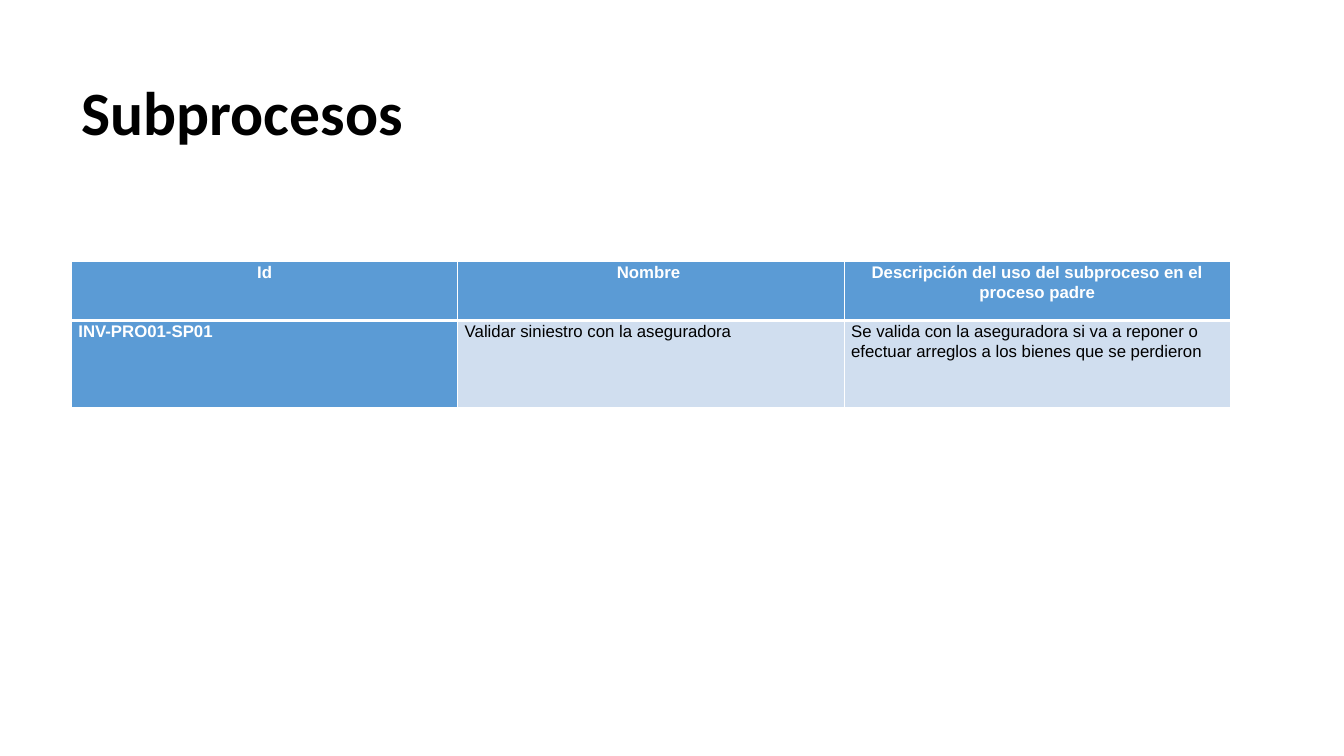
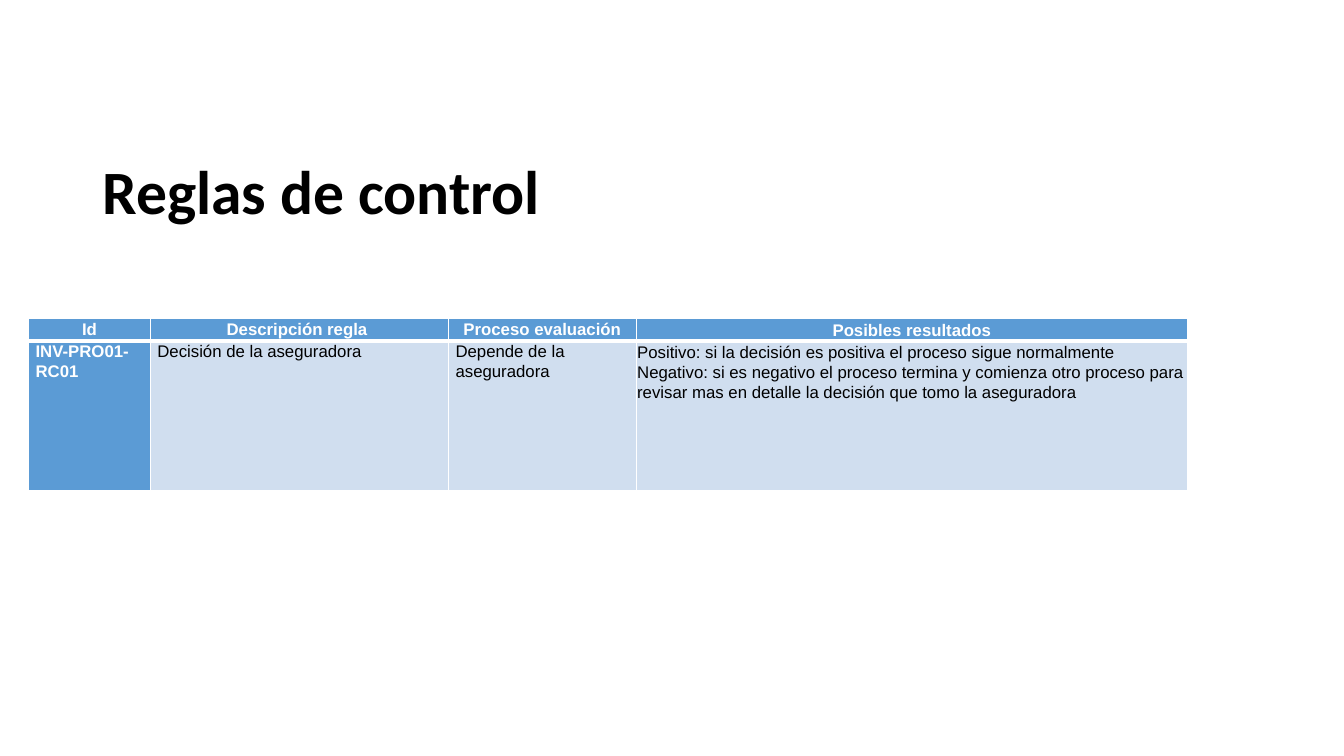
from dataclasses import dataclass

from lxml import etree
from pptx import Presentation
from pptx.dml.color import RGBColor
from pptx.enum.text import MSO_ANCHOR, MSO_AUTO_SIZE, PP_ALIGN
from pptx.oxml.ns import qn
from pptx.slide import Slide
from pptx.table import _Cell
from pptx.text.text import Font
from pptx.util import Pt

LEFT, CENTER = PP_ALIGN.LEFT, PP_ALIGN.CENTER
MIDDLE, TOP = MSO_ANCHOR.MIDDLE, MSO_ANCHOR.TOP
NO_AUTOFIT = MSO_AUTO_SIZE.NONE

BLACK, WHITE = "000000", "FFFFFF"
ACCENT, PALE = "5B9BD5", "D0DEEF"
TITLE_FONT, TABLE_FONT = "Calibri", "Arial"
TITLE_LAYOUT = 5
CONTENT_WIDTH, TITLE_HEIGHT = 828, 104.4
THIN, THICK = 1, 3
SIDE_INSETS = (5, 0)
TIGHT_INSETS = (0.75, 0.75)


@dataclass(frozen=True)
class Column:
    width: float
    heading: str
    content: str
    insets: tuple[float, float] = SIDE_INSETS


@dataclass(frozen=True)
class TablePage:
    title: str
    title_left: float
    title_top: float
    table_left: float
    table_top: float
    row_heights: tuple[float, float]
    columns: tuple[Column, ...]


PAGES = (
    TablePage(
        "Subprocesos", 51, 30, 51, 187, (42, 62.5),
        (
            Column(276, "Id", "INV-PRO01-SP01"),
            Column(276, "Nombre ", "Validar siniestro con la aseguradora"),
            Column(
                276,
                "Descripción del uso del subproceso en el proceso padre",
                "Se valida con la aseguradora si va a reponer o efectuar "
                "arreglos a los bienes que se perdieron",
            ),
        ),
    ),
    TablePage(
        "Reglas de control", 66, 87, 20.4, 227.5, (15.6, 107.2),
        (
            Column(87, "Id", "INV-PRO01-RC01"),
            Column(213, "Descripción regla ", "Decisión de la aseguradora"),
            Column(134, "Proceso evaluación", "Depende de la aseguradora"),
            Column(
                394,
                "Posibles resultados",
                "Positivo: si la decisión es positiva el proceso sigue normalmente\n"
                "Negativo: si es negativo el proceso termina y comienza otro proceso "
                "para revisar mas en detalle la decisión que tomo la aseguradora",
                TIGHT_INSETS,
            ),
        ),
    ),
)


def color(value: str) -> RGBColor:
    return RGBColor.from_string(value)


def style_font(font: Font, name: str, size: float, ink: str, bold: bool) -> None:
    font.name = name
    font.size = Pt(size)
    font.bold = bold
    font.color.rgb = color(ink)


def add_title(page: Slide, design: TablePage) -> None:
    title = page.shapes.title
    title.left, title.top = Pt(design.title_left), Pt(design.title_top)
    title.width, title.height = Pt(CONTENT_WIDTH), Pt(TITLE_HEIGHT)
    frame = title.text_frame
    frame.text = design.title
    frame.auto_size = NO_AUTOFIT
    frame.vertical_anchor = MIDDLE
    para = frame.paragraphs[0]
    para.alignment = LEFT
    para.line_spacing = 0.9
    style_font(para.font, TITLE_FONT, 44, BLACK, True)


def add_borders(cell: _Cell, is_heading: bool) -> None:
    properties = cell._tc.get_or_add_tcPr()
    widths = {
        "a:lnL": THIN,
        "a:lnR": THIN,
        "a:lnT": THIN if is_heading else THICK,
        "a:lnB": THICK if is_heading else THIN,
    }
    for tag, width in widths.items():
        line = etree.SubElement(properties, qn(tag), w=str(Pt(width)))
        fill = etree.SubElement(line, qn("a:solidFill"))
        etree.SubElement(fill, qn("a:srgbClr"), val=WHITE)


def fill_cell(
    cell: _Cell, text: str, insets: tuple[float, float], is_heading: bool, is_key: bool
) -> None:
    emphasized = is_heading or is_key
    add_borders(cell, is_heading)
    cell.fill.solid()
    cell.fill.fore_color.rgb = color(ACCENT if emphasized else PALE)
    side, end = insets
    cell.margin_left = cell.margin_right = Pt(side)
    cell.margin_top = cell.margin_bottom = Pt(end)
    cell.vertical_anchor = TOP
    cell.text_frame.text = text
    for para in cell.text_frame.paragraphs:
        para.alignment = CENTER if is_heading else LEFT
        para.line_spacing = 1.07
        style_font(para.font, TABLE_FONT, 12, WHITE if emphasized else BLACK, emphasized)


def add_data_table(page: Slide, design: TablePage) -> None:
    table = page.shapes.add_table(
        len(design.row_heights), len(design.columns),
        Pt(design.table_left), Pt(design.table_top),
        Pt(CONTENT_WIDTH), Pt(sum(design.row_heights)),
    ).table
    for row, height in zip(table.rows, design.row_heights):
        row.height = Pt(height)
    for index, column in enumerate(design.columns):
        table.columns[index].width = Pt(column.width)
        for row_index, text in enumerate((column.heading, column.content)):
            fill_cell(
                table.cell(row_index, index), text, column.insets,
                is_heading=row_index == 0, is_key=index == 0,
            )


def main() -> None:
    deck = Presentation()
    deck.slide_width, deck.slide_height = Pt(960), Pt(540)
    for design in PAGES:
        page = deck.slides.add_slide(deck.slide_layouts[TITLE_LAYOUT])
        add_title(page, design)
        add_data_table(page, design)
    deck.save("out.pptx")


main()
